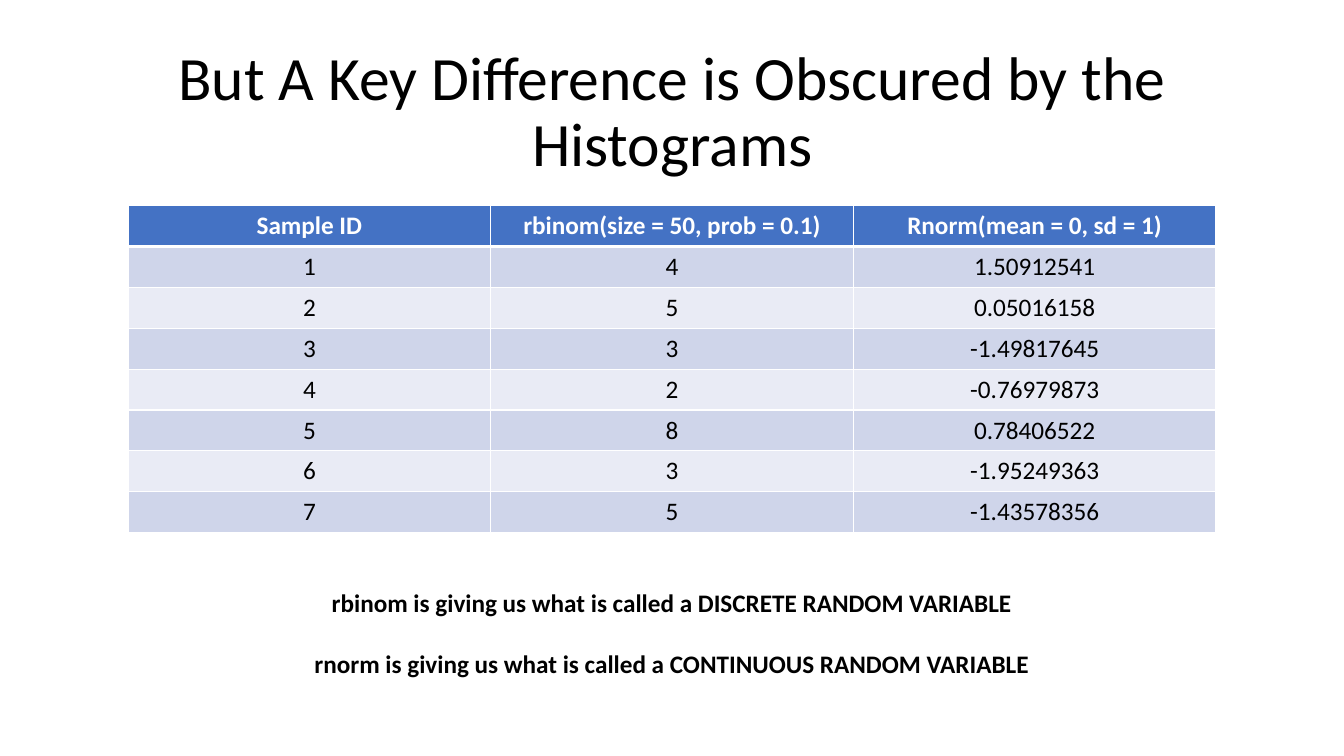
from dataclasses import dataclass
from typing import NamedTuple

from lxml.etree import SubElement
from pptx import Presentation
from pptx.dml.color import RGBColor
from pptx.enum.text import MSO_ANCHOR, MSO_AUTO_SIZE, PP_ALIGN
from pptx.oxml.ns import qn
from pptx.util import Inches, Pt

SLIDE_W, SLIDE_H = Inches(13.33), Inches(7.5)
FONT = "Calibri"
BLACK, WHITE, HEADER_BLUE = "000000", "FFFFFF", "4472C4"
BANDS = ("CFD5EA", "E9EBF5")


@dataclass(frozen=True)
class Box:
    x: float
    y: float
    w: float
    h: float

    def emu(self) -> tuple[int, int, int, int]:
        return (
            int(SLIDE_W * self.x / 100),
            int(SLIDE_H * self.y / 100),
            int(SLIDE_W * self.w / 100),
            int(SLIDE_H * self.h / 100),
        )


class Row(NamedTuple):
    sample: str
    binomial: str
    normal: str


TITLE_BOX = Box(6.9, 5.33, 86.27, 19.33)
TABLE_BOX = Box(9.53, 27.2, 80.95, 43.2)
NOTE_BOX = Box(19.5, 77.07, 60.99, 13.47)

TITLE = "But A Key Difference is Obscured by the Histograms"
ROWS = [
    Row("Sample ID", "rbinom(size = 50, prob = 0.1)", "Rnorm(mean = 0, sd = 1)"),
    Row("1", "4", "1.50912541"),
    Row("2", "5", "0.05016158"),
    Row("3", "3", "-1.49817645"),
    Row("4", "2", "-0.76979873"),
    Row("5", "8", "0.78406522"),
    Row("6", "3", "-1.95249363"),
    Row("7", "5", "-1.43578356"),
]
NOTES = [
    "rbinom is giving us what is called a DISCRETE RANDOM VARIABLE",
    "rnorm is giving us what is called a CONTINUOUS RANDOM VARIABLE",
]


def rgb(color: str) -> RGBColor:
    return RGBColor.from_string(color)


def write(p, text: str, size: float, color: str = BLACK, bold: bool = False) -> None:
    p.text = text
    p.alignment = PP_ALIGN.CENTER
    p.font.name = FONT
    p.font.size = Pt(size)
    p.font.bold = bold
    p.font.color.rgb = rgb(color)


def set_border(cell, side: str, width: float) -> None:
    ln = SubElement(cell._tc.get_or_add_tcPr(), qn(f"a:ln{side}"), w=str(Pt(width)))
    fill = SubElement(ln, qn("a:solidFill"))
    SubElement(fill, qn("a:srgbClr"), val=WHITE)


def add_title(s) -> None:
    title = s.shapes.title
    title.left, title.top, title.width, title.height = TITLE_BOX.emu()
    tf = title.text_frame
    tf.auto_size = MSO_AUTO_SIZE.NONE
    tf.vertical_anchor = MSO_ANCHOR.MIDDLE
    p = tf.paragraphs[0]
    write(p, TITLE, 44)
    p.line_spacing = 0.9


def add_samples(s) -> None:
    table = s.shapes.add_table(len(ROWS), len(Row._fields), *TABLE_BOX.emu()).table
    for i, row in enumerate(ROWS):
        header = i == 0
        for j, text in enumerate(row):
            cell = table.cell(i, j)
            for side in "LRTB":
                thick = (header and side == "B") or (i == 1 and side == "T")
                set_border(cell, side, 3 if thick else 1)
            cell.fill.solid()
            cell.fill.fore_color.rgb = rgb(HEADER_BLUE if header else BANDS[(i - 1) % 2])
            write(cell.text_frame.paragraphs[0], text, 18, WHITE if header else BLACK, header)


def add_notes(s) -> None:
    tf = s.shapes.add_textbox(*NOTE_BOX.emu()).text_frame
    tf.word_wrap = True
    tf.auto_size = MSO_AUTO_SIZE.SHAPE_TO_FIT_TEXT
    for i, text in enumerate(NOTES):
        p = tf.add_paragraph() if i else tf.paragraphs[0]
        write(p, text, 18, bold=True)
        p.space_before = Pt(22 if i else 0)


def main() -> None:
    prs = Presentation()
    prs.slide_width, prs.slide_height = SLIDE_W, SLIDE_H
    s = prs.slides.add_slide(prs.slide_layouts[5])
    add_title(s)
    add_samples(s)
    add_notes(s)
    prs.save("out.pptx")


if __name__ == "__main__":
    main()
